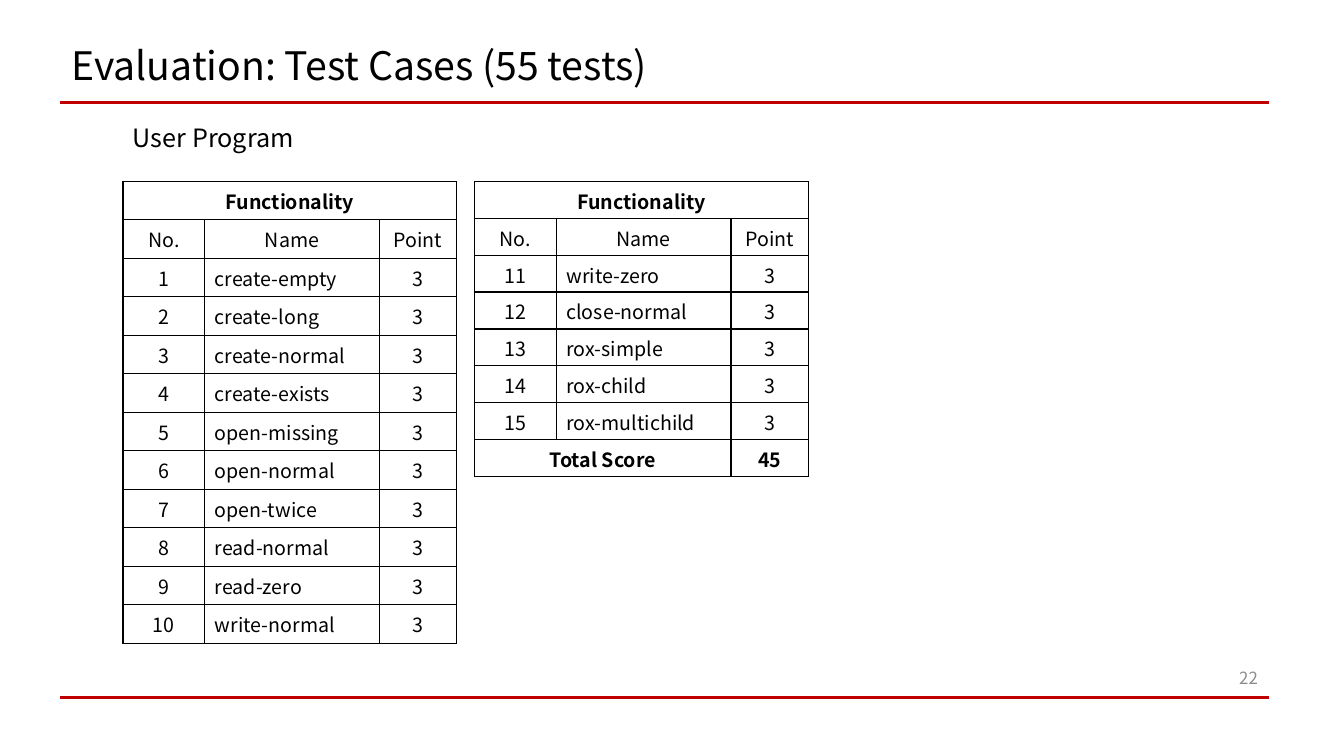
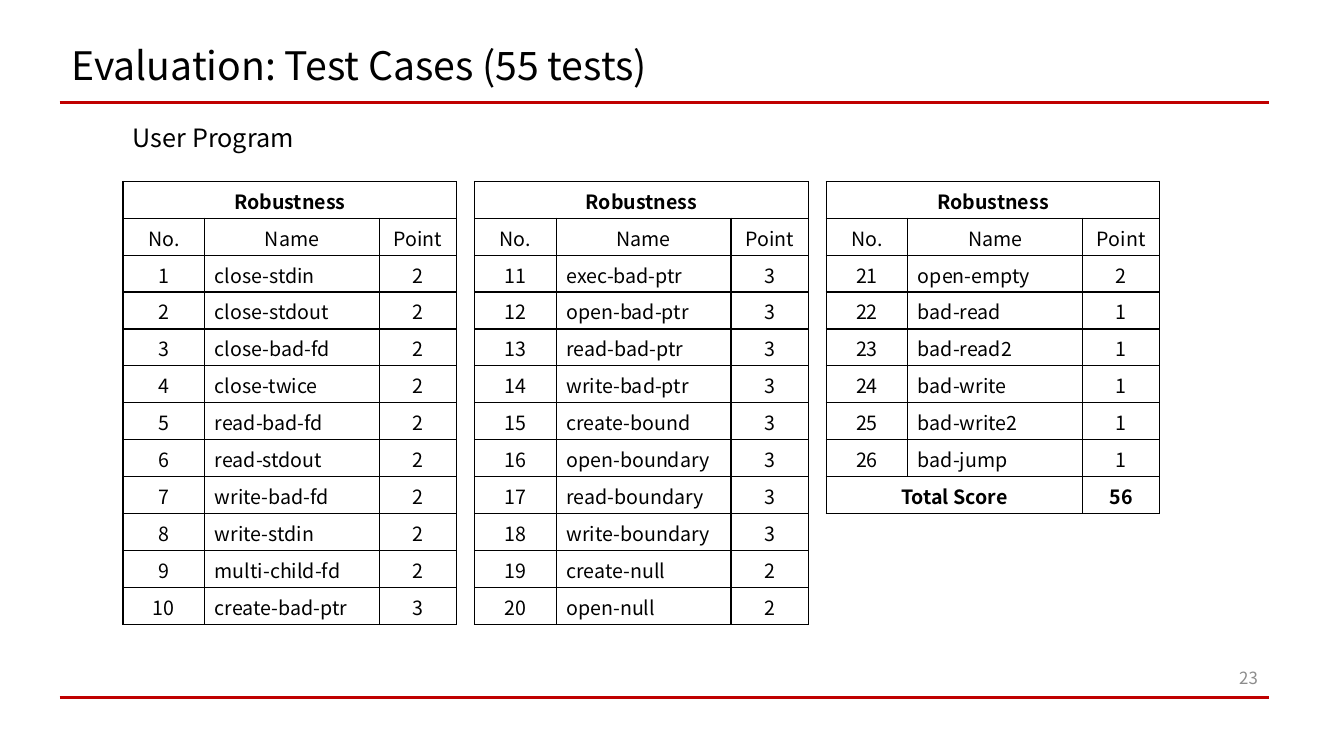
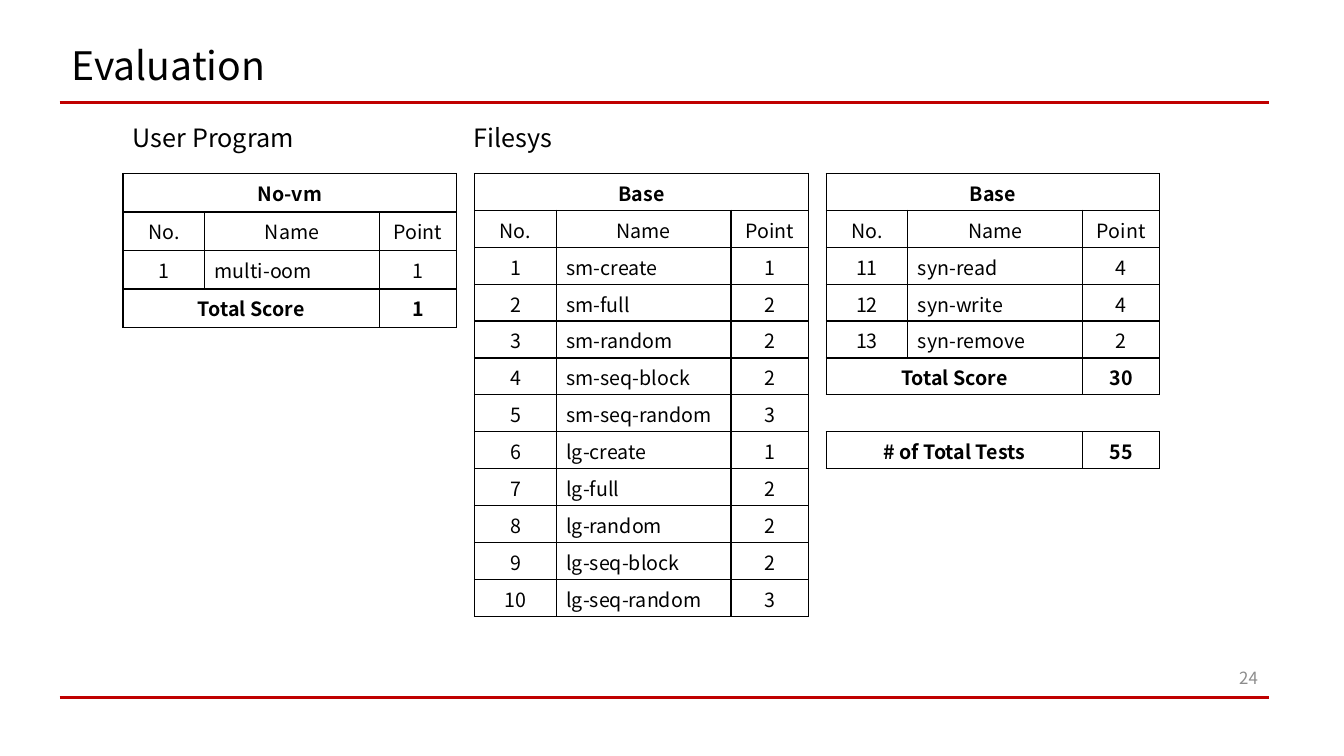
from lxml import etree
from pptx import Presentation
from pptx.dml.color import RGBColor
from pptx.enum.shapes import MSO_CONNECTOR
from pptx.enum.text import MSO_ANCHOR, MSO_AUTO_SIZE, PP_ALIGN
from pptx.oxml.ns import qn
from pptx.util import Cm, Pt

STRAIGHT = MSO_CONNECTOR.STRAIGHT
MIDDLE = MSO_ANCHOR.MIDDLE
NO_AUTOFIT = MSO_AUTO_SIZE.NONE
LEFT, CENTER, RIGHT = PP_ALIGN.LEFT, PP_ALIGN.CENTER, PP_ALIGN.RIGHT

FONT = "Noto Sans CJK KR"
BLACK, RED, GRAY = "000000", "C00000", "8C8C8C"

# Lengths in cm
TABLE_LEFT, TABLE_PITCH = 3.1, 8.86
COL_WIDTHS = (2.06, 4.4, 1.95)
ROW, TALL_ROW = 0.93, 0.97
LABEL_TOP = 2.97


def rgb(color):
    return RGBColor.from_string(color)


def write(tf, text, size, color=BLACK, align=LEFT, bold=False):
    tf.text = text
    p = tf.paragraphs[0]
    p.alignment = align
    p.font.name, p.font.size, p.font.bold = FONT, Pt(size), bold
    p.font.color.rgb = rgb(color)
    return p


def add_text(s, x, y, w, h, text, size, **style):
    tf = s.shapes.add_textbox(Cm(x), Cm(y), Cm(w), Cm(h)).text_frame
    tf.word_wrap = True
    write(tf, text, size, **style)
    return tf


def add_label(s, x, text):
    add_text(s, x, LABEL_TOP, 5.82, 1.02, text, 18)


def add_rule(s, y):
    line = s.shapes.add_connector(STRAIGHT, Cm(1.5), Cm(y), Cm(31.98), Cm(y))
    line.line.color.rgb = rgb(RED)
    line.line.width = Pt(2.25)
    etree.SubElement(line._element.spPr, qn("a:effectLst"))


def add_page(prs, title, number):
    """Slide with title, red rules and page number."""
    s = prs.slides.add_slide(prs.slide_layouts[5])
    for y in (17.58, 2.59):
        add_rule(s, y)
    sp = s.shapes.title
    sp.left, sp.top, sp.width, sp.height = Cm(1.55), Cm(1.04), Cm(29.2), Cm(1.35)
    tf = sp.text_frame
    tf.auto_size, tf.vertical_anchor = NO_AUTOFIT, MIDDLE
    write(tf, title, 28).line_spacing = 0.9
    tf = add_text(s, 30.63, 16.56, 1.32, 1.02, str(number), 12,
                  color=GRAY, align=RIGHT)
    tf.vertical_anchor = MIDDLE
    return s


def set_borders(cell, visible):
    """Black lines on the visible sides, none on the others."""
    tc_pr = cell._tc.get_or_add_tcPr()
    for i, side in enumerate("LRTB"):
        ln = etree.Element(qn(f"a:ln{side}"), w=str(Pt(1)))
        if side in visible:
            fill = etree.SubElement(ln, qn("a:solidFill"))
            etree.SubElement(fill, qn("a:srgbClr"), val=BLACK)
        else:
            etree.SubElement(ln, qn("a:noFill"))
        tc_pr.insert(i, ln)


def add_score_table(s, column, top, heading, first, tests, total=None,
                    test_count=None, row_height=ROW):
    """Table of (name, point) tests, numbered from first, with optional sums."""
    rows = [(heading, "", ""), ("No.", "Name", "Point")]
    rows += [(str(n), name, str(point))
             for n, (name, point) in enumerate(tests, first)]
    last_test = len(rows) - 1
    if total is not None:
        rows.append(("Total Score", "", str(total)))
    if test_count is not None:
        rows += [("", "", ""), ("# of Total Tests", "", str(test_count))]

    frame = s.shapes.add_table(
        len(rows), 3, Cm(TABLE_LEFT + column * TABLE_PITCH), Cm(top),
        Cm(sum(COL_WIDTHS)), Cm(row_height * len(rows)))
    table = frame.table
    table.first_row = table.horz_banding = False
    for col, width in zip(table.columns, COL_WIDTHS):
        col.width = Cm(width)

    for r, texts in enumerate(rows):
        table.rows[r].height = Cm(row_height)
        is_test = 2 <= r <= last_test
        for c, text in enumerate(texts):
            cell = table.cell(r, c)
            cell.fill.background()
            cell.margin_bottom = 0
            write(cell.text_frame, text, 14,
                  align=LEFT if is_test and c == 1 else CENTER,
                  bold=r == 0 or r > last_test)
            set_borders(cell, "LRTB" if any(texts) else "TB")
        if r == 0 or r > last_test:
            table.cell(r, 0).merge(table.cell(r, 2 if r == 0 else 1))


def same_points(names, point):
    return [(name, point) for name in names.split()]


def build_functionality(prs):
    s = add_page(prs, "Evaluation: Test Cases (55 tests)", 22)
    add_label(s, TABLE_LEFT, "User Program")
    tests = same_points(
        "create-empty create-long create-normal create-exists open-missing "
        "open-normal open-twice read-normal read-zero write-normal "
        "write-zero close-normal rox-simple rox-child rox-multichild", 3)
    add_score_table(s, 0, 4.57, "Functionality", 1, tests[:10],
                    row_height=TALL_ROW)
    add_score_table(s, 1, 4.57, "Functionality", 11, tests[10:], total=45)


def build_robustness(prs):
    s = add_page(prs, "Evaluation: Test Cases (55 tests)", 23)
    add_label(s, TABLE_LEFT, "User Program")
    tests = same_points(
        "close-stdin close-stdout close-bad-fd close-twice read-bad-fd "
        "read-stdout write-bad-fd write-stdin multi-child-fd", 2)
    tests += same_points(
        "create-bad-ptr exec-bad-ptr open-bad-ptr read-bad-ptr write-bad-ptr "
        "create-bound open-boundary read-boundary write-boundary", 3)
    tests += same_points("create-null open-null open-empty", 2)
    tests += same_points("bad-read bad-read2 bad-write bad-write2 bad-jump", 1)
    for column, total in enumerate((None, None, 56)):
        start = column * 10
        add_score_table(s, column, 4.57, "Robustness", start + 1,
                        tests[start:start + 10], total)


def build_filesys(prs):
    s = add_page(prs, "Evaluation", 24)
    add_label(s, TABLE_LEFT, "User Program")
    add_label(s, 11.68, "Filesys")
    add_score_table(s, 0, 4.37, "No-vm", 1, [("multi-oom", 1)], total=1,
                    row_height=TALL_ROW)
    kinds = (("create", 1), ("full", 2), ("random", 2),
             ("seq-block", 2), ("seq-random", 3))
    tests = [(f"{size}-{kind}", point)
             for size in ("sm", "lg") for kind, point in kinds]
    add_score_table(s, 1, 4.37, "Base", 1, tests)
    tests = [("syn-read", 4), ("syn-write", 4), ("syn-remove", 2)]
    add_score_table(s, 2, 4.37, "Base", 11, tests, total=30, test_count=55)


def main():
    prs = Presentation()
    prs.slide_width, prs.slide_height = Cm(33.87), Cm(19.05)
    build_functionality(prs)
    build_robustness(prs)
    build_filesys(prs)
    prs.save("out.pptx")


if __name__ == "__main__":
    main()
